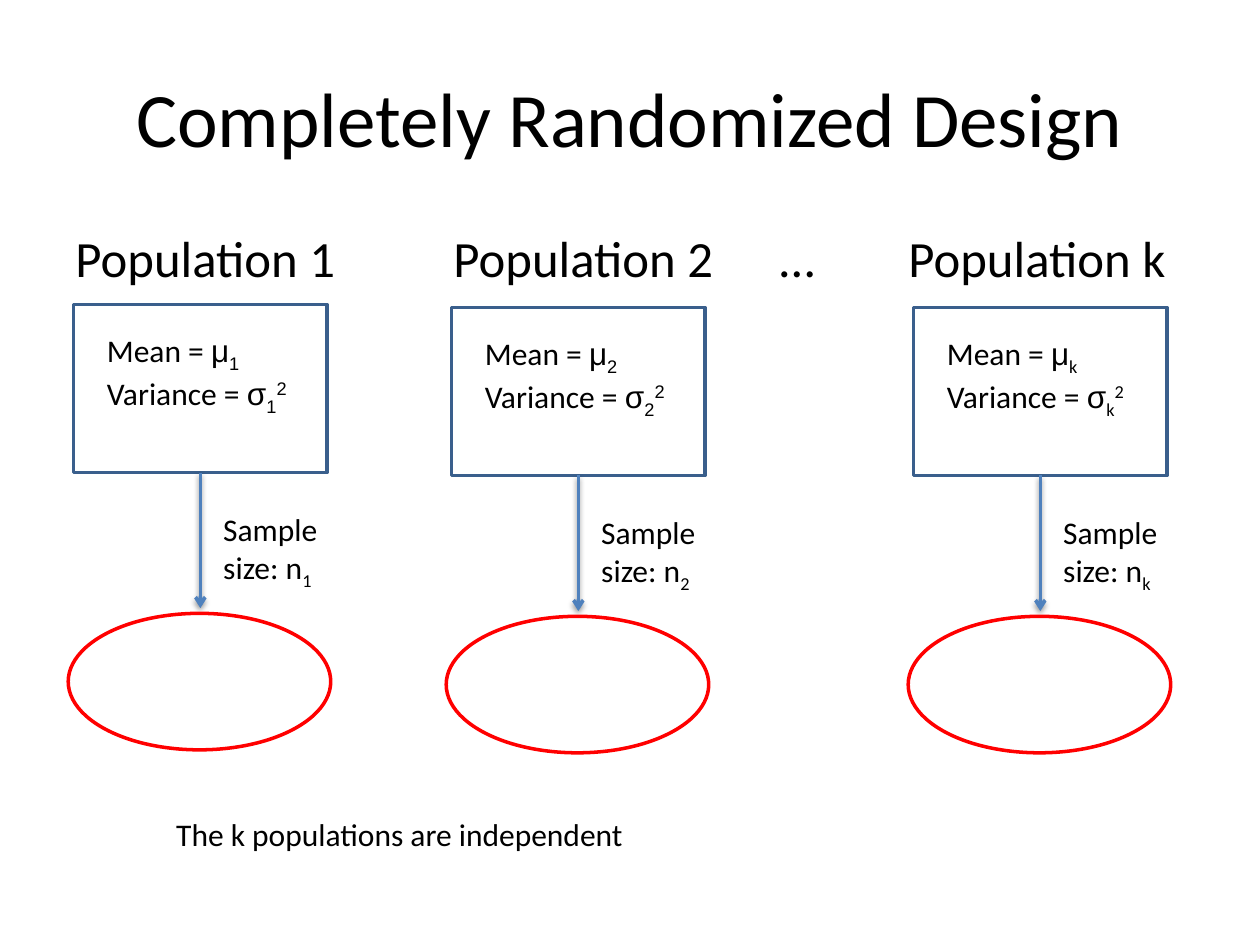
from dataclasses import dataclass
from lxml import etree
from pptx import Presentation, util as u
from pptx.dml import color as col
from pptx.enum import shapes, text
from pptx.oxml import ns

Pt = u.Pt


@dataclass(frozen=True)
class Theme:
    main: str = "Calibri"
    math: str = "Arial"
    ink: str = "000000"
    paper: str = "FFFFFF"
    edge: str = "3A5F8C"
    arrow: str = "4F81BD"
    ring: str = "FF0000"
    title: float = 44
    head: float = 29
    body: float = 18
    rule: float = 2


T = Theme()
SUB, SUP = -25, 30


def rgb(code):
    return col.RGBColor.from_string(code)


def apply(obj, vals):
    for key, val in vals.items():
        setattr(obj, key, val)


def child(host, tag, **vals):
    node = etree.SubElement(host, ns.qn(tag))
    for key, val in vals.items():
        node.set(key, str(val))
    return node


def write(para, parts, size):
    for words, face, base in parts:
        run = para.add_run()
        run.text = words
        apply(run.font, {"size": Pt(size), "name": face})
        run.font.color.rgb = rgb(T.ink)
        if base:
            run._r.get_or_add_rPr().set("baseline", str(base * 1000))


def label(slide, area, lines, size=T.body):
    box = slide.shapes.add_textbox(*map(Pt, area))
    frame = box.text_frame
    apply(frame, {"word_wrap": True,
                  "auto_size": text.MSO_AUTO_SIZE.SHAPE_TO_FIT_TEXT})
    for num, parts in enumerate(lines):
        para = frame.add_paragraph() if num else frame.paragraphs[0]
        write(para, parts, size)
    return box


def outline(slide, kind, area, line):
    shape = slide.shapes.add_shape(kind, *map(Pt, area))
    shape.shadow.inherit = False
    shape.fill.solid()
    shape.fill.fore_color.rgb = rgb(T.paper)
    shape.line.color.rgb = rgb(line)
    shape.line.width = Pt(T.rule)


def arrow(slide, x, top, end):
    line = slide.shapes.add_connector(
        shapes.MSO_CONNECTOR.STRAIGHT, Pt(x), Pt(top), Pt(x), Pt(end))
    line.line.color.rgb = rgb(T.arrow)
    line.line.width = Pt(T.rule)
    props = line._element.spPr
    child(line.line._get_or_add_ln(), "a:tailEnd", type="arrow")
    glow = child(child(props, "a:effectLst"), "a:outerShdw",
                 blurRad=Pt(3.1), dist=Pt(1.6), dir=90 * 60000,
                 rotWithShape=0)
    child(child(glow, "a:srgbClr", val=T.ink), "a:alpha", val=38000)


def title(slide, words):
    shape = slide.shapes.title
    apply(shape, {"left": Pt(36), "top": Pt(21.6),
                  "width": Pt(648), "height": Pt(90)})
    frame = shape.text_frame
    frame.vertical_anchor = text.MSO_ANCHOR.MIDDLE
    para = frame.paragraphs[0]
    para.alignment = text.PP_ALIGN.CENTER
    write(para, [(words, T.main, 0)], T.title)


def heads(slide, words, stops):
    box = label(slide, (36, 126, 648, 43),
                [[("\t".join(words), T.main, 0)]], T.head)
    props = box.text_frame.paragraphs[0]._p.get_or_add_pPr()
    tabs = child(props, "a:tabLst")
    for stop in stops:
        child(tabs, "a:tab", pos=Pt(stop), algn="l")


def column(slide, x, y, mark, face):
    outline(slide, shapes.MSO_SHAPE.RECTANGLE, (x, y, 145, 96), T.edge)
    label(slide, (x + 12, y + 11.5, 120, 51), [
        [("Mean = ", T.main, 0), ("μ", T.math, 0), (mark, face, SUB)],
        [("Variance = ", T.main, 0), ("σ", T.math, 0),
         (mark, face, SUB), ("2", face, SUP)],
    ])
    arrow(slide, x + 72.5, y + 96, y + 173.5)
    outline(slide, shapes.MSO_SHAPE.OVAL, (x - 3, y + 176.5, 150, 78), T.ring)
    label(slide, (x + 78.5, y + 114, 78, 51),
          [[("Sample size: n", T.main, 0), (mark, T.main, SUB)]])


def main():
    deck = Presentation()
    apply(deck, {"slide_width": Pt(720), "slide_height": Pt(540)})
    slide = deck.slides.add_slide(deck.slide_layouts[5])
    title(slide, "Completely Randomized Design")
    heads(slide, ["Population 1", "Population 2", "…", "Population k"],
          [216, 402.5, 476])
    for x, y, mark, face in [(42, 174, "1", T.math),
                             (258, 175.7, "2", T.math),
                             (522, 175.7, "k", T.main)]:
        column(slide, x, y, mark, face)
    label(slide, (93.6, 462, 300, 29),
          [[("The k populations are independent", T.main, 0)]])
    deck.save("out.pptx")


if __name__ == "__main__":
    main()
